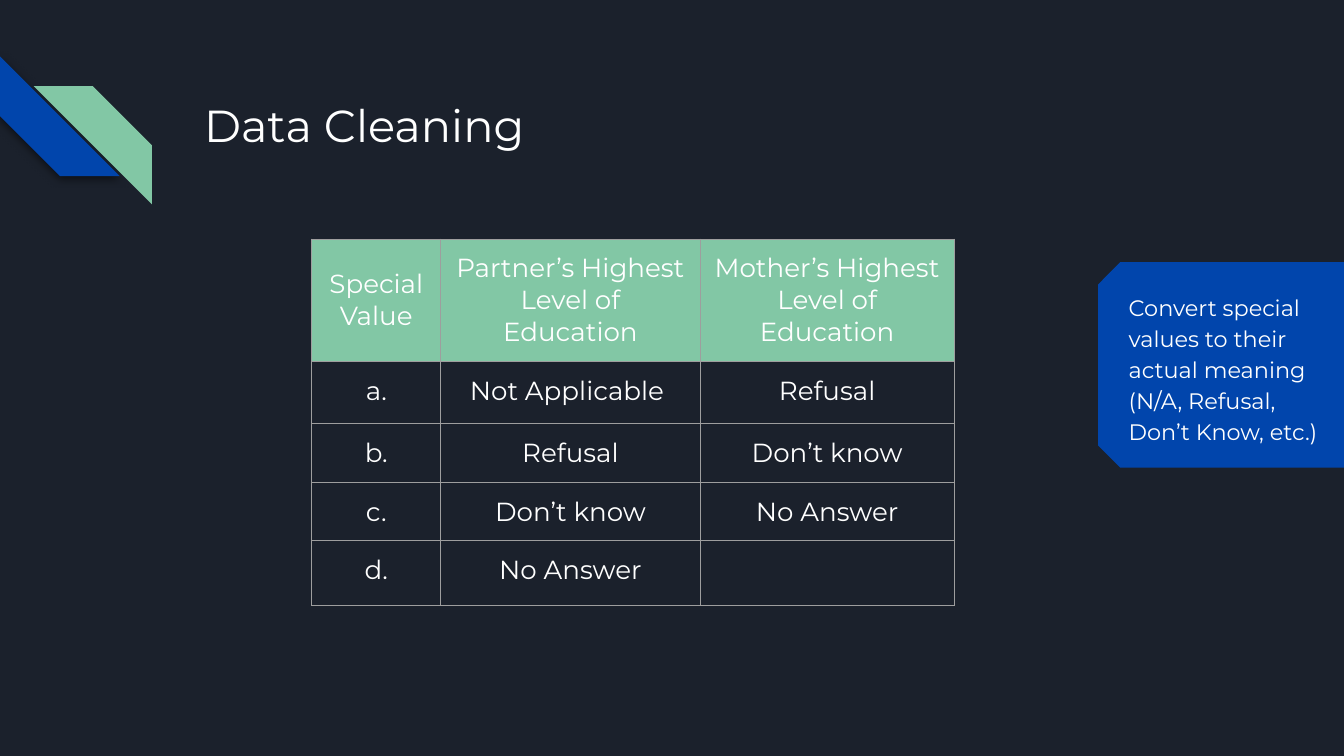
from pptx import Presentation
from pptx.dml.color import RGBColor
from pptx.enum.shapes import MSO_SHAPE
from pptx.enum.text import MSO_ANCHOR, PP_ALIGN
from pptx.oxml import parse_xml
from pptx.oxml.ns import nsdecls, qn
from pptx.util import Inches, Pt

STRIPE = MSO_SHAPE.DIAGONAL_STRIPE
SNIPPED = MSO_SHAPE.SNIP_2_SAME_RECTANGLE
MIDDLE, TOP = MSO_ANCHOR.MIDDLE, MSO_ANCHOR.TOP
LEFT, CENTER = PP_ALIGN.LEFT, PP_ALIGN.CENTER

NAVY = RGBColor(0x1B, 0x21, 0x2C)
BLUE = RGBColor(0x01, 0x45, 0xAC)
GREEN = RGBColor(0x82, 0xC7, 0xA5)
WHITE = RGBColor(0xFF, 0xFF, 0xFF)
GREY = RGBColor(0x9E, 0x9E, 0x9E)

FONT = "Montserrat"
INSET = Inches(0.1)
COLUMNS = [0.96, 1.93, 1.89]
ROWS = [0.91, 0.46, 0.44, 0.43, 0.48]
VALUES = [
    ["Special Value", "Partner’s Highest Level of Education",
     "Mother’s Highest Level of Education"],
    ["a.", "Not Applicable ", "Refusal"],
    ["b.", "Refusal", "Don’t know"],
    ["c.", "Don’t know", "No Answer"],
    ["d.", "No Answer", ""],
]


def write_text(tf, text, size, align=LEFT, spacing=None, after=None):
    tf.word_wrap = True
    p = tf.paragraphs[0]
    p.alignment = align
    if spacing:
        p.line_spacing = spacing
    if after:
        p.space_after = Pt(after)
    if not text:
        p._p.append(parse_xml(
            f'<a:endParaRPr {nsdecls("a")} sz="{size * 100}"/>'))
        return
    r = p.add_run()
    r.text = text
    r.font.name = FONT
    r.font.size = Pt(size)
    r.font.color.rgb = WHITE


def add_text(s, box, text, size, anchor=TOP, **style):
    tf = s.shapes.add_textbox(*map(Inches, box)).text_frame
    tf.margin_left = tf.margin_right = tf.margin_top = tf.margin_bottom = INSET
    tf.vertical_anchor = anchor
    write_text(tf, text, size, **style)


def add_filled_shape(s, kind, box, color, adjustments, rotation=0):
    sp = s.shapes.add_shape(kind, *map(Inches, box))
    sp.shadow.inherit = False
    sp.fill.solid()
    sp.fill.fore_color.rgb = color
    sp.line.fill.background()
    sp.rotation = rotation
    for i, value in enumerate(adjustments):
        sp.adjustments[i] = value
    return sp


def add_shadow(sp):
    effects = sp._element.spPr.find(qn("a:effectLst"))
    effects.append(parse_xml(
        f'<a:outerShdw {nsdecls("a")} blurRad="{Pt(4.5)}" dist="{Pt(1.5)}" '
        'dir="5400000" algn="bl" rotWithShape="0">'
        '<a:srgbClr val="000000"><a:alpha val="50000"/></a:srgbClr>'
        '</a:outerShdw>'))


def add_corner_stripes(s):
    blue = add_filled_shape(s, STRIPE, (0, 0.42, 0.89, 0.89), BLUE, [0.5], 270)
    add_shadow(blue)
    green = add_filled_shape(s, STRIPE, (0.25, 0.64, 0.88, 0.88), GREEN, [0.5])
    green._element.spPr.xfrm.set("flipH", "1")


def format_cell(cell, header):
    cell.margin_left = cell.margin_right = INSET
    cell.margin_top = cell.margin_bottom = INSET
    props = cell._tc.get_or_add_tcPr()
    for side in ("lnL", "lnR", "lnT", "lnB"):
        props.append(parse_xml(
            f'<a:{side} {nsdecls("a")} w="{Pt(0.75)}"><a:solidFill>'
            f'<a:srgbClr val="{GREY}"/></a:solidFill></a:{side}>'))
    if header:
        cell.vertical_anchor = MIDDLE
        cell.fill.solid()
        cell.fill.fore_color.rgb = GREEN
    else:
        cell.fill.background()


def add_value_table(s, left, top):
    frame = s.shapes.add_table(
        len(ROWS), len(COLUMNS), Inches(left), Inches(top),
        Inches(sum(COLUMNS)), Inches(sum(ROWS)))
    table = frame.table
    table.horz_banding = False
    for column, width in zip(table.columns, COLUMNS):
        column.width = Inches(width)
    for i, (row, height) in enumerate(zip(table.rows, ROWS)):
        row.height = Inches(height)
        for cell, value in zip(row.cells, VALUES[i]):
            format_cell(cell, header=i == 0)
            write_text(cell.text_frame, value, 14, align=CENTER)


def main():
    prs = Presentation()
    prs.slide_width = Inches(10)
    prs.slide_height = prs.slide_width * 9 // 16
    s = prs.slides.add_slide(prs.slide_layouts[6])
    s.background.fill.solid()
    s.background.fill.fore_color.rgb = NAVY

    add_corner_stripes(s)
    add_filled_shape(s, SNIPPED, (8.32, 1.8, 1.53, 1.83), BLUE, [0.109, 0], 270)
    add_text(s, (1.42, 0.43, 7.7, 1), "Data Cleaning", 24, anchor=MIDDLE)
    add_text(s, (8.3, 2.06, 1.7, 1.3),
             "Convert special values to their actual meaning "
             "(N/A, Refusal, Don’t Know, etc.)",
             12, spacing=1.15, after=16)
    add_value_table(s, 2.32, 1.78)
    prs.save("out.pptx")


if __name__ == "__main__":
    main()
